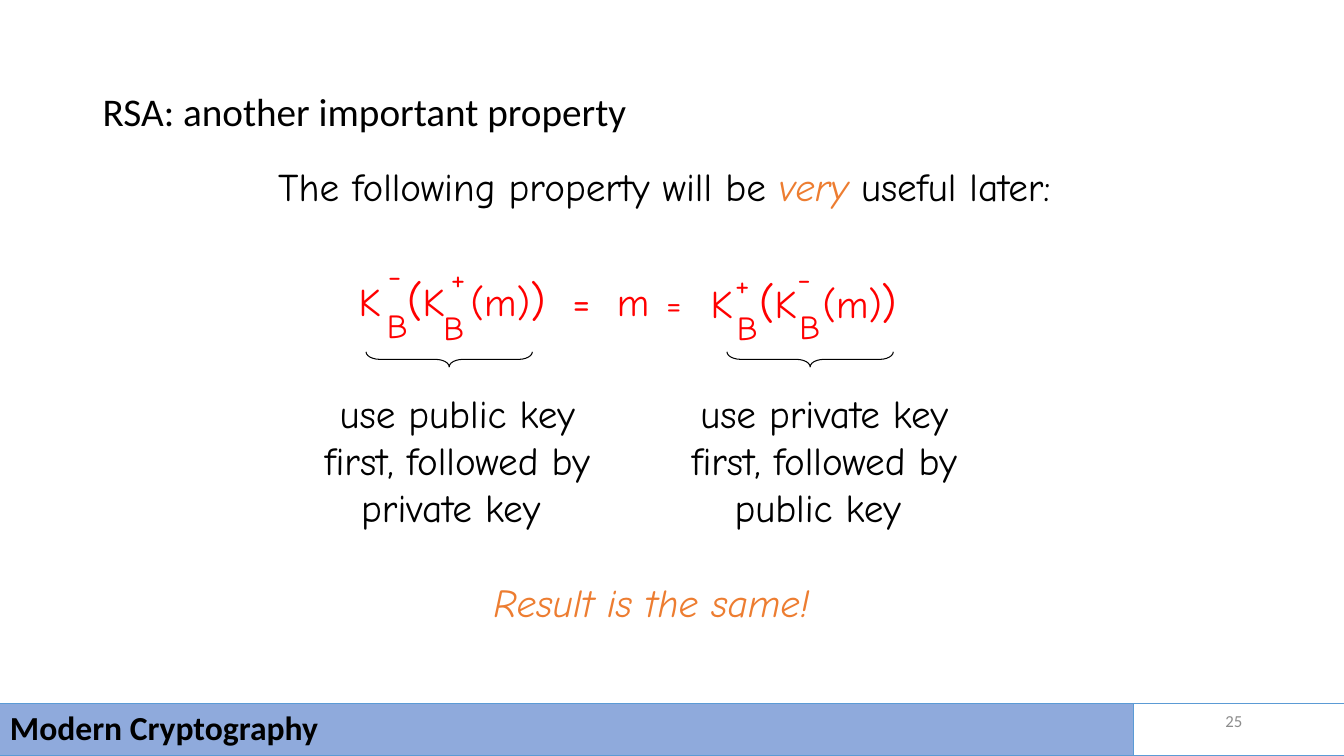
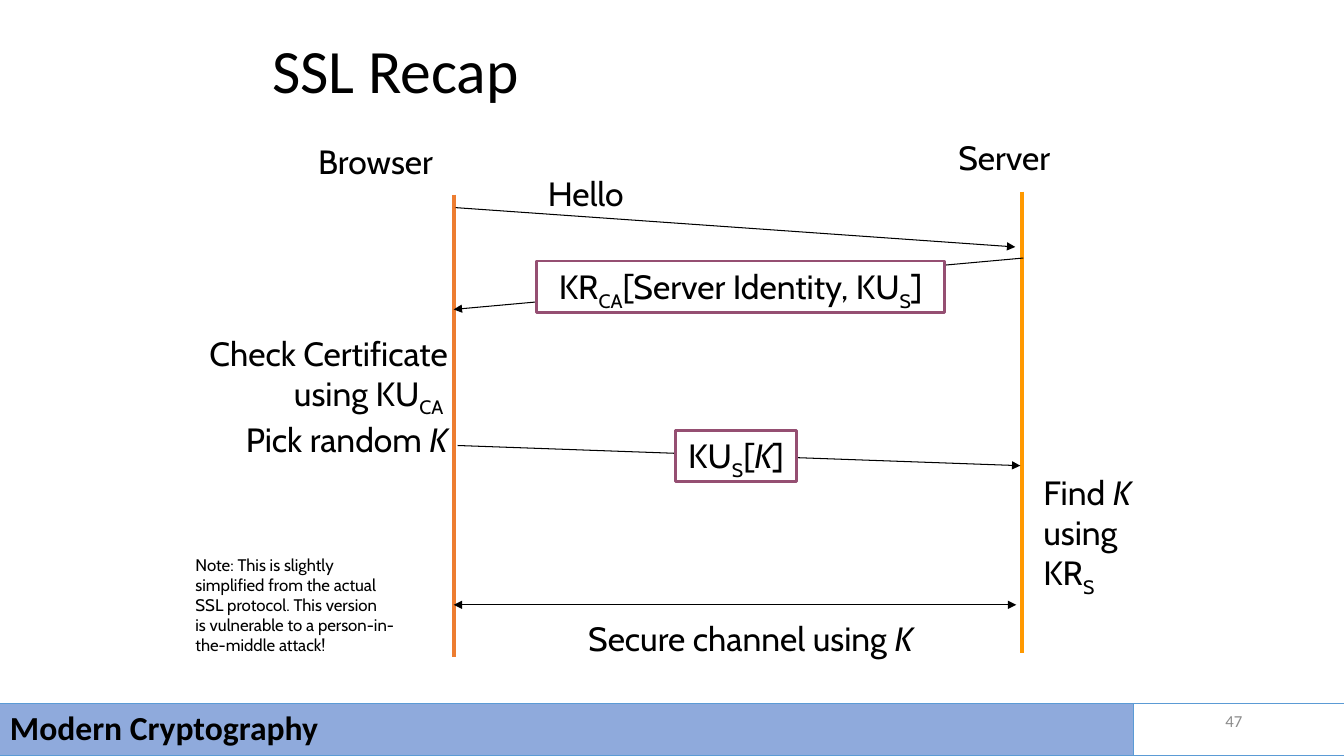
from lxml.etree import SubElement
from pptx import Presentation
from pptx.dml.color import RGBColor
from pptx.enum.shapes import MSO_CONNECTOR, MSO_SHAPE
from pptx.enum.text import MSO_ANCHOR, PP_ALIGN
from pptx.oxml.ns import qn
from pptx.util import Inches, Pt

BLACK = RGBColor(0, 0, 0)
WHITE = RGBColor(255, 255, 255)
RED = RGBColor(255, 0, 0)
ORANGE = RGBColor(0xED, 0x7D, 0x31)
AMBER = RGBColor(0xFF, 0x99, 0x00)
PLUM = RGBColor(0x95, 0x4F, 0x72)
BAND_BLUE = RGBColor(0x8F, 0xAA, 0xDC)
BAND_LINE = RGBColor(0x5B, 0x9B, 0xD5)
GRAY = RGBColor(0x8C, 0x8C, 0x8C)

HEADING_FONT = "Calibri"
FORMULA_FONT = "Comic Neue"
PROTOCOL_FONT = "Cabin"

ITALIC = {"italic": True}
SUBSCRIPT = {"subscript": True}
KEY = ("K", ITALIC)


def write_text(shape, paragraphs, size, font, color=BLACK, align=PP_ALIGN.LEFT,
               anchor=MSO_ANCHOR.TOP, wrap=True, bold=False, line_spacing=None):
    frame = shape.text_frame
    frame.word_wrap = wrap
    frame.vertical_anchor = anchor
    for index, pieces in enumerate(paragraphs):
        paragraph = frame.add_paragraph() if index else frame.paragraphs[0]
        paragraph.alignment = align
        if line_spacing:
            paragraph.line_spacing = line_spacing
        for piece in pieces:
            text, style = (piece, {}) if isinstance(piece, str) else piece
            run = paragraph.add_run()
            run.text = text
            run.font.name = font
            run.font.size = Pt(style.get("size", size))
            run.font.color.rgb = style.get("color", color)
            run.font.bold = bold
            run.font.italic = style.get("italic", False)
            if style.get("subscript"):
                run.font._element.set("baseline", "-25000")


def add_text(slide, box, paragraphs, size, font, **options):
    shape = slide.shapes.add_textbox(*map(Inches, box))
    write_text(shape, paragraphs, size, font, **options)


def add_preset(slide, preset, box, line_color, line_width, fill=None):
    shape = slide.shapes.add_shape(preset, *map(Inches, box))
    shape.shadow.inherit = False
    shape.line.color.rgb = line_color
    shape.line.width = Pt(line_width)
    if fill is None:
        shape.fill.background()
    else:
        shape.fill.solid()
        shape.fill.fore_color.rgb = fill
    return shape


def add_line(slide, start, end, color=BLACK, width=0.75, arrows=()):
    line = slide.shapes.add_connector(
        MSO_CONNECTOR.STRAIGHT, *map(Inches, (*start, *end)))
    line.line.color.rgb = color
    line.line.width = Pt(width)
    outline = line.line._get_or_add_ln()
    for arrow in arrows:
        SubElement(outline, qn(f"a:{arrow}"), type="triangle")
    SubElement(line._element.spPr, qn("a:effectLst"))


def add_title(slide, box, text, size):
    add_text(slide, box, [[text]], size, HEADING_FONT,
             anchor=MSO_ANCHOR.MIDDLE, line_spacing=0.9)


def add_footer(slide, number):
    add_text(slide, (9.42, 6.95, 3, 0.4), [[str(number)]], 12, HEADING_FONT,
             color=GRAY, align=PP_ALIGN.RIGHT, anchor=MSO_ANCHOR.MIDDLE)
    band = add_preset(slide, MSO_SHAPE.RECTANGLE, (0, 6.98, 11.24, 0.52),
                      BAND_LINE, 0.75, BAND_BLUE)
    write_text(band, [["Modern Cryptography"]], 24, HEADING_FONT, bold=True,
               anchor=MSO_ANCHOR.MIDDLE, line_spacing=0.9)
    add_preset(slide, MSO_SHAPE.RECTANGLE, (11.24, 6.98, 2.1, 0.52), BAND_LINE, 0.75)


def add_symbol(slide, left, top, pieces, size):
    add_text(slide, (left, top, 1, 0.6), [pieces], size, FORMULA_FONT, color=RED)


def add_key_formula(slide, left, top, marks):
    large = {"size": 32}
    add_symbol(slide, left, top + 0.05, ["K"], 28)
    add_symbol(slide, left + 0.48, top, [("(", large), "K"], 28)
    add_symbol(slide, left + 1.11, top, ["(m)", (")", large)], 28)
    for text, mark_left, mark_top in marks:
        add_symbol(slide, mark_left, mark_top, [text], 24)


def add_brace(slide, left):
    brace = add_preset(slide, MSO_SHAPE.RIGHT_BRACE, (left, 2.74, 0.15, 1.65), BLACK, 0.75)
    brace.rotation = 90
    brace.adjustments[0] = 0.911
    brace.adjustments[1] = 0.5


def add_label(slide, box, pieces):
    add_text(slide, box, [pieces], 24, PROTOCOL_FONT, align=PP_ALIGN.CENTER, wrap=False)


def add_message(slide, box, pieces):
    shape = add_preset(slide, MSO_SHAPE.RECTANGLE, box, PLUM, 2, WHITE)
    write_text(shape, [pieces], 24, PROTOCOL_FONT, align=PP_ALIGN.CENTER, wrap=False)


def build_rsa_slide(slide):
    add_title(slide, (0.92, 0.4, 11.5, 1.45), "RSA: another important property", 28)
    accent = {"italic": True, "color": ORANGE}
    add_text(slide, (2.16, 1.56, 8.86, 0.57),
             [["The following property will be ", ("very", accent), " useful later:"]],
             28, FORMULA_FONT, align=PP_ALIGN.CENTER, wrap=False)

    add_key_formula(slide, 3.46, 2.65, [
        ("B", 3.74, 2.98), ("-", 3.75, 2.47), ("B", 4.3, 3), ("+", 4.37, 2.5)])
    add_symbol(slide, 5.58, 2.7, ["="], 28)
    add_symbol(slide, 6.02, 2.7, ["m"], 28)
    add_symbol(slide, 6.51, 2.76, ["="], 24)
    add_key_formula(slide, 6.95, 2.67, [
        ("B", 7.21, 3), ("+", 7.19, 2.56), ("B", 7.83, 2.99), ("-", 7.81, 2.5)])

    for left, brace_left, first, second in (
            (2.94, 4.38, "public", "private"), (6.58, 7.96, "private", "public")):
        add_text(slide, (left, 3.81, 3.19, 1.5),
                 [[f"use {first} key first, followed by {second} key "]],
                 28, FORMULA_FONT, align=PP_ALIGN.CENTER)
        add_brace(slide, brace_left)
    add_text(slide, (4.63, 5.69, 3.79, 0.57), [[("Result is the same! ", accent)]],
             28, FORMULA_FONT, align=PP_ALIGN.CENTER)


def build_ssl_slide(slide):
    add_title(slide, (2.6, 0.1, 8.5, 1.25), "SSL Recap", 44)
    add_line(slide, (4.5, 1.93), (4.5, 6.52), ORANGE, 3)
    add_line(slide, (10.14, 1.9), (10.14, 6.48), AMBER, 3)
    add_label(slide, (3.01, 1.35, 1.43, 0.5), ["Browser"])
    add_label(slide, (9.37, 1.31, 1.18, 0.5), ["Server"])

    add_line(slide, (4.52, 2.06), (10.07, 2.45), arrows=["tailEnd"])
    add_label(slide, (5.33, 1.67, 0.96, 0.5), ["Hello"])
    add_line(slide, (10.15, 2.56), (4.5, 3.07), arrows=["tailEnd"])
    add_message(slide, (5.32, 2.59, 4.05, 0.51),
                ["KR", ("CA", SUBSCRIPT), "[Server Identity, KU", ("S", SUBSCRIPT), "]"])
    add_text(slide, (1.67, 3.25, 2.87, 1.31),
             [["Check Certificate using KU", ("CA ", SUBSCRIPT)], ["Pick random ", KEY]],
             24, PROTOCOL_FONT, align=PP_ALIGN.RIGHT)
    add_line(slide, (4.54, 4.42), (10.12, 4.62), arrows=["tailEnd"])
    add_message(slide, (6.7, 4.27, 1.2, 0.51), ["KU", ("S", SUBSCRIPT), "[", KEY, "]"])
    add_text(slide, (10.25, 4.63, 1.33, 1.31),
             [["Find ", ("K ", ITALIC), "using KR", ("S", SUBSCRIPT)]], 24, PROTOCOL_FONT)
    add_line(slide, (4.5, 6), (10.08, 6), arrows=["headEnd", "tailEnd"])
    add_label(slide, (5.63, 6.08, 3.63, 0.5), ["Secure channel using ", KEY])
    add_text(slide, (1.84, 5.45, 2.28, 1.11),
             [["Note: This is slightly simplified from the actual SSL protocol. This version"],
              ["is vulnerable to a person-in-the-middle attack!"]], 12, PROTOCOL_FONT)


def main():
    presentation = Presentation()
    presentation.slide_width = Inches(13.33)
    presentation.slide_height = Inches(7.5)
    for build_content, number in ((build_rsa_slide, 25), (build_ssl_slide, 47)):
        slide = presentation.slides.add_slide(presentation.slide_layouts[6])
        build_content(slide)
        add_footer(slide, number)
    presentation.save("out.pptx")


if __name__ == "__main__":
    main()
